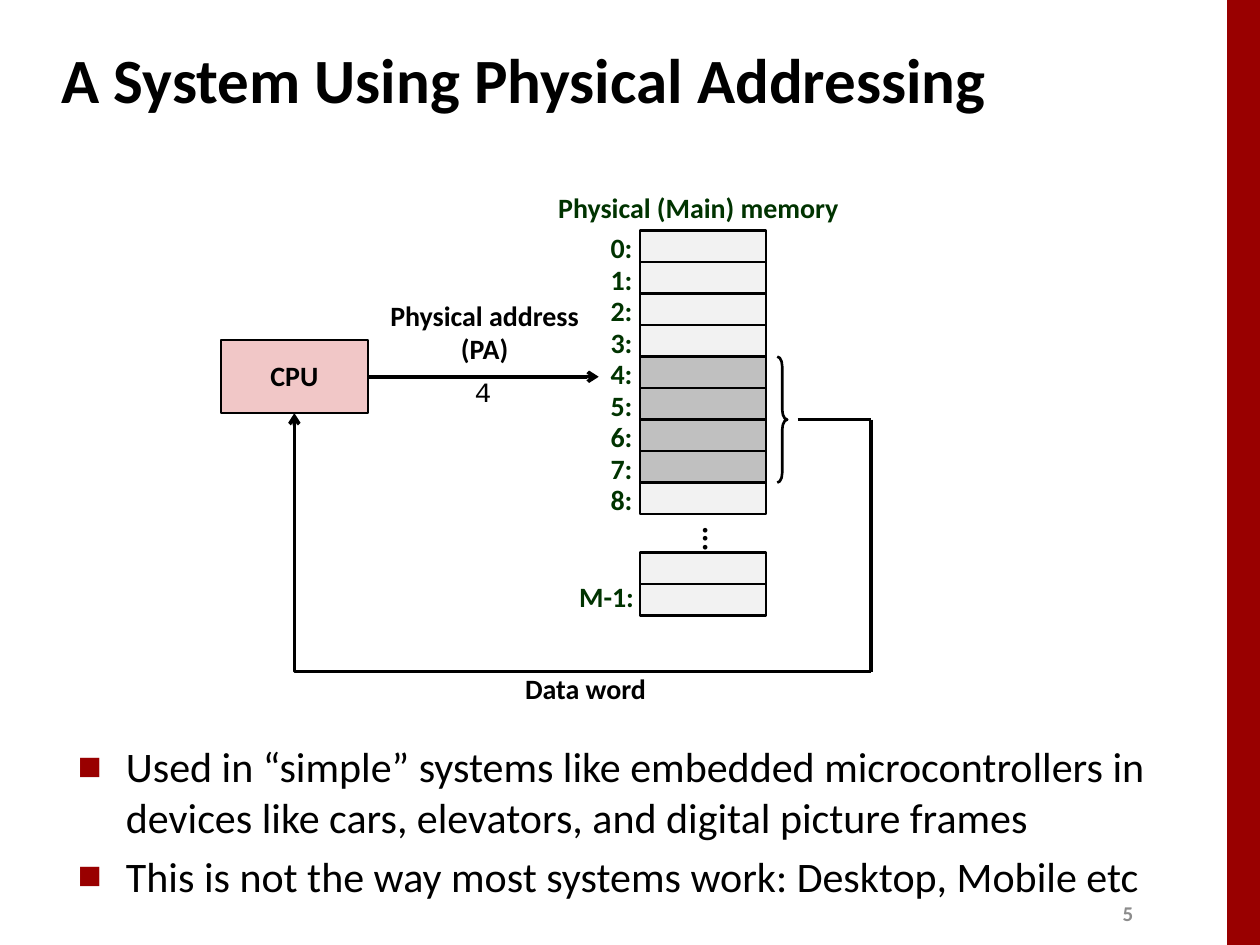
from lxml import etree
from pptx import Presentation
from pptx.dml.color import RGBColor
from pptx.enum import shapes, text
from pptx.oxml.ns import qn
from pptx.util import Cm, Pt

BLACK, RED, GREEN = "000000", "990000", "003300"
CELL_W, CELL_H = 2.54, 2.54 / 4
LEFT, CENTER, RIGHT = text.PP_ALIGN.LEFT, text.PP_ALIGN.CENTER, text.PP_ALIGN.RIGHT
TOP, MIDDLE = text.MSO_ANCHOR.TOP, text.MSO_ANCHOR.MIDDLE


def rgb(value):
    return RGBColor.from_string(value)


def write(sp, lines, size=16, bold=True, color=BLACK, align=LEFT, anchor=TOP,
          wrap=False, spacing=None, before=0, font="Calibri"):
    tf = sp.text_frame
    tf.word_wrap, tf.vertical_anchor = wrap, anchor
    tf.text = "\n".join(lines)
    for p in tf.paragraphs:
        p.alignment, p.line_spacing, p.space_before = align, spacing, Pt(before)
        p.font.name, p.font.size, p.font.bold = font, Pt(size), bold
        p.font.color.rgb = rgb(color)
    return tf


def add_text(s, x, y, w, h, lines, **style):
    sp = s.shapes.add_textbox(Cm(x), Cm(y), Cm(w), Cm(h))
    return write(sp, lines, **style)


def add_box(s, x, y, w, h, fill=None, line=None, kind=shapes.MSO_SHAPE.RECTANGLE):
    sp = s.shapes.add_shape(kind, Cm(x), Cm(y), Cm(w), Cm(h))
    sp.shadow.inherit = False
    if fill:
        sp.fill.solid()
        sp.fill.fore_color.rgb = rgb(fill)
    else:
        sp.fill.background()
    if line:
        sp.line.color.rgb, sp.line.width = rgb(BLACK), Pt(line)
    else:
        sp.line.fill.background()
    return sp


def add_line(s, x1, y1, x2, y2, arrow=False, kind=shapes.MSO_CONNECTOR.STRAIGHT):
    c = s.shapes.add_connector(kind, Cm(x1), Cm(y1), Cm(x2), Cm(y2))
    c.line.color.rgb, c.line.width = rgb(BLACK), Pt(2)
    if arrow:
        etree.SubElement(c.line._get_or_add_ln(), qn("a:tailEnd"), type="arrow")
    etree.SubElement(c._element.spPr, qn("a:effectLst"))
    return c


def add_bullets(s, x, y, w, h, lines):
    tf = add_text(s, x, y, w, h, lines, size=24, bold=False, wrap=True, before=4.8)
    for p in tf.paragraphs:
        pr = p._p.get_or_add_pPr()
        pr.set("marL", str(Cm(0.97)))
        pr.set("indent", str(-Cm(0.97)))
        bullet = [("buClr", {}), ("buSzPct", {"val": "60000"}),
                  ("buFont", {"typeface": "Calibri"}), ("buChar", {"char": "■"})]
        at = pr.index(pr.find(qn("a:defRPr")))
        for i, (tag, attrs) in enumerate(bullet):
            el = etree.Element(qn("a:" + tag), attrs)
            if tag == "buClr":
                etree.SubElement(el, qn("a:srgbClr"), val=RED)
            pr.insert(at + i, el)


def add_memory(s, x, y):
    """Memory column whose first cell has its top left corner at x, y."""
    label = dict(color=GREEN, spacing=0.88, before=6)
    add_text(s, x - 1.93, y - 0.84, 6.22, 0.84, ["Physical (Main) memory"],
             align=CENTER, **label)
    for i in range(9):
        top = y + i * CELL_H
        add_box(s, x, top, CELL_W, CELL_H, "C0C0C0" if 4 <= i <= 7 else "F2F2F2", 1.5)
        add_text(s, x - 0.84, top - 0.03, 0.94, 0.84, [f"{i}:"], align=RIGHT, **label)

    tf = add_text(s, x + 0.23, y + 9 * CELL_H, CELL_W, CELL_H, ["..."], size=18,
                  align=CENTER, anchor=MIDDLE, spacing=0.98)
    tf._txBody.bodyPr.set("vert", "eaVert")

    last = y + 7.12
    for top in (last - CELL_H, last):
        add_box(s, x, top, CELL_W, CELL_H, "F2F2F2", 1.5)
    add_text(s, x - 1.5, last - 0.13, 1.63, 0.84, ["M-1:"], align=RIGHT, **label)

    brace = add_box(s, x + 2.77, y + 4 * CELL_H, 0.2, 4 * CELL_H, line=1.5,
                    kind=shapes.MSO_SHAPE.RIGHT_BRACE)
    brace.adjustments[0] = 1


def add_cpu(s, x, y, w, h):
    """CPU box with its address arrow and the data path that returns to it."""
    centered = dict(align=CENTER, anchor=MIDDLE, spacing=0.98)
    write(add_box(s, x, y, w, h, "F1C7C7", 1), ["CPU"], **centered)

    middle = y + h / 2
    add_line(s, x + w, middle, x + w + 4.65, middle, arrow=True)
    add_text(s, x + w + 0.18, y - 0.94, 4.34, 1.6, ["Physical address", "(PA)"], **centered)
    add_text(s, x + w + 1.9, y + 0.56, 0.86, 0.94, ["4"], bold=False, font="Courier New")

    right, data_y, bottom = x + 13.11, y + 1.6, y + 6.68
    add_line(s, x + 11.63, data_y, right, data_y)
    add_line(s, right, data_y, right, bottom)
    path_back = add_line(s, right, bottom, x + w / 2, y + h, arrow=True,
                         kind=shapes.MSO_CONNECTOR.ELBOW)
    guides = path_back._element.spPr.find(qn("a:prstGeom")).get_or_add_avLst()
    etree.SubElement(guides, qn("a:gd"), name="adj1", fmla="val 100000")
    add_text(s, x + 5.87, bottom - 0.1, 2.97, 0.94, ["Data word"], **centered)


def add_frame(s, w, h):
    add_box(s, w - 0.66, 0, 0.66, h, RED)
    add_text(s, 22.38, 18.03, 1.02, 0.76, ["5"], size=12, color="8C8C8C", anchor=MIDDLE)
    add_text(s, 0.99, 0.53, 21.08, 2.11, ["A System Using Physical Addressing"],
             size=36, anchor=MIDDLE, wrap=True)


def main():
    prs = Presentation()
    prs.slide_width, prs.slide_height = Cm(25.4), Cm(19.05)
    s = prs.slides.add_slide(prs.slide_layouts[6])
    add_frame(s, 25.4, 19.05)
    add_bullets(s, 1.32, 14.81, 22.38, 2.44, [
        "Used in “simple” systems like embedded microcontrollers in devices like cars, "
        "elevators, and digital picture frames",
        "This is not the way most systems work: Desktop, Mobile etc",
    ])
    add_memory(s, 12.9, 4.65)
    add_cpu(s, 4.45, 6.86, 2.97, 1.47)
    prs.save("out.pptx")


if __name__ == "__main__":
    main()
